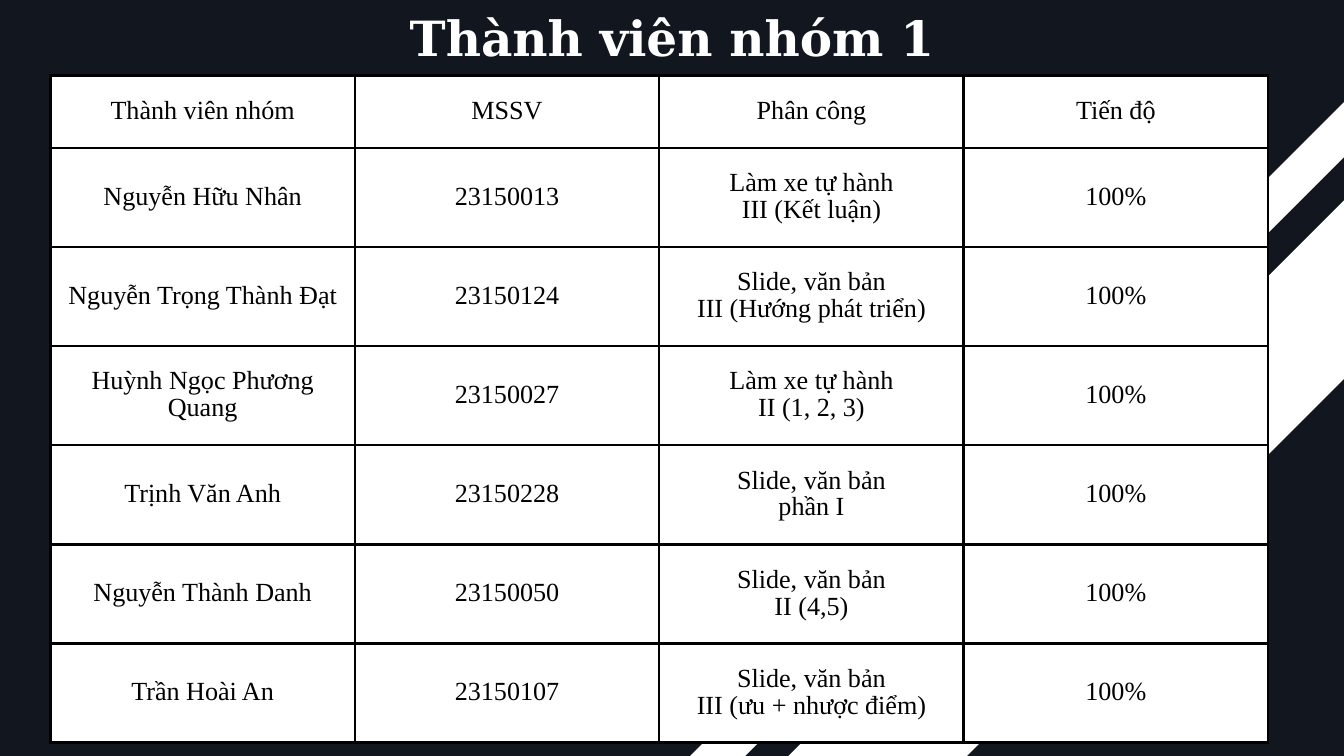
import pptx
import pptx.dml.color
import pptx.enum.shapes
import pptx.enum.text
import pptx.oxml
import pptx.oxml.ns
import pptx.util
from pptx.util import Inches

BACKGROUND = "12161E"
WHITE = "FFFFFF"
BLACK = "000000"

HEADINGS = ["Thành viên nhóm", "MSSV", "Phân công", "Tiến độ"]
MEMBERS = [
    ("Nguyễn Hữu Nhân", "23150013", "Làm xe tự hành\nIII (Kết luận)"),
    ("Nguyễn Trọng Thành Đạt", "23150124", "Slide, văn bản\nIII (Hướng phát triển)"),
    ("Huỳnh Ngọc Phương Quang", "23150027", "Làm xe tự hành\nII (1, 2, 3)"),
    ("Trịnh Văn Anh", "23150228", "Slide, văn bản\nphần I"),
    ("Nguyễn Thành Danh", "23150050", "Slide, văn bản\nII (4,5)"),
    ("Trần Hoài An", "23150107", "Slide, văn bản\nIII (ưu + nhược điểm)"),
]
PROGRESS = "100%"


def set_fill(fill, color):
    fill.solid()
    fill.fore_color.rgb = pptx.dml.color.RGBColor.from_string(color)


def format_text(frame, font_name, size, color, line_spacing, bold=False):
    for paragraph in frame.paragraphs:
        paragraph.alignment = pptx.enum.text.PP_ALIGN.CENTER
        paragraph.line_spacing = pptx.util.Pt(line_spacing)
        paragraph.font.name = font_name
        paragraph.font.size = pptx.util.Pt(size)
        paragraph.font.bold = bold
        set_fill(paragraph.font.fill, color)


def add_stripe(slide, left, top, width, height):
    """Add a white diagonal band; the box is given before rotation."""
    stripe = slide.shapes.add_shape(
        pptx.enum.shapes.MSO_SHAPE.RECTANGLE,
        Inches(left), Inches(top), Inches(width), Inches(height))
    stripe.rotation = 315
    stripe.shadow.inherit = False
    set_fill(stripe.fill, WHITE)
    stripe.line.fill.background()


def place_title(slide, text):
    title = slide.shapes.title
    title.left, title.top = Inches(6.02), Inches(-0.02)
    title.width, title.height = Inches(7.96), Inches(0.99)
    frame = title.text_frame
    frame.text = text
    frame.word_wrap = True
    frame.auto_size = pptx.enum.text.MSO_AUTO_SIZE.SHAPE_TO_FIT_TEXT
    frame.vertical_anchor = pptx.enum.text.MSO_ANCHOR.TOP
    frame.margin_left = frame.margin_right = 0
    frame.margin_top = frame.margin_bottom = 0
    format_text(frame, "DejaVu Serif", 52, WHITE, 72.8, bold=True)


def add_borders(cell, color, width):
    properties = cell._tc.get_or_add_tcPr()
    for side in ("lnL", "lnR", "lnT", "lnB"):
        properties.append(pptx.oxml.parse_xml(
            f'<a:{side} {pptx.oxml.ns.nsdecls("a")} w="{pptx.util.Pt(width)}">'
            f'<a:solidFill><a:srgbClr val="{color}"/></a:solidFill></a:{side}>'))


def fill_cell(cell, text):
    cell.text = text
    cell.vertical_anchor = pptx.enum.text.MSO_ANCHOR.MIDDLE
    cell.margin_left = cell.margin_right = Inches(0.21)
    cell.margin_top = cell.margin_bottom = Inches(0.21)
    add_borders(cell, BLACK, 3)
    set_fill(cell.fill, WHITE)
    format_text(cell.text_frame, "Times New Roman", 28, BLACK, 28.8)


def add_member_table(slide):
    width, height, heading_height = 18.12, 9.93, 1.08
    rows = [HEADINGS] + [(*member, PROGRESS) for member in MEMBERS]
    table = slide.shapes.add_table(
        len(rows), len(HEADINGS),
        Inches(0.75), Inches(1.12), Inches(width), Inches(height)).table
    for column in table.columns:
        column.width = Inches(width / len(HEADINGS))
    for row in table.rows:
        row.height = Inches((height - heading_height) / len(MEMBERS))
    table.rows[0].height = Inches(heading_height)
    for row, texts in zip(table.rows, rows):
        for cell, text in zip(row.cells, texts):
            fill_cell(cell, text)


def main():
    presentation = pptx.Presentation()
    presentation.slide_width = Inches(20)
    presentation.slide_height = Inches(11.25)
    title_only = presentation.slide_layouts[5]
    slide = presentation.slides.add_slide(title_only)
    set_fill(slide.background.fill, BACKGROUND)
    add_stripe(slide, 9.72, 7.06, 13.18, 1.88)
    add_stripe(slide, 7.89, 6.42, 14.66, 0.58)
    place_title(slide, "Thành viên nhóm 1")
    add_member_table(slide)
    presentation.save("out.pptx")


if __name__ == "__main__":
    main()
